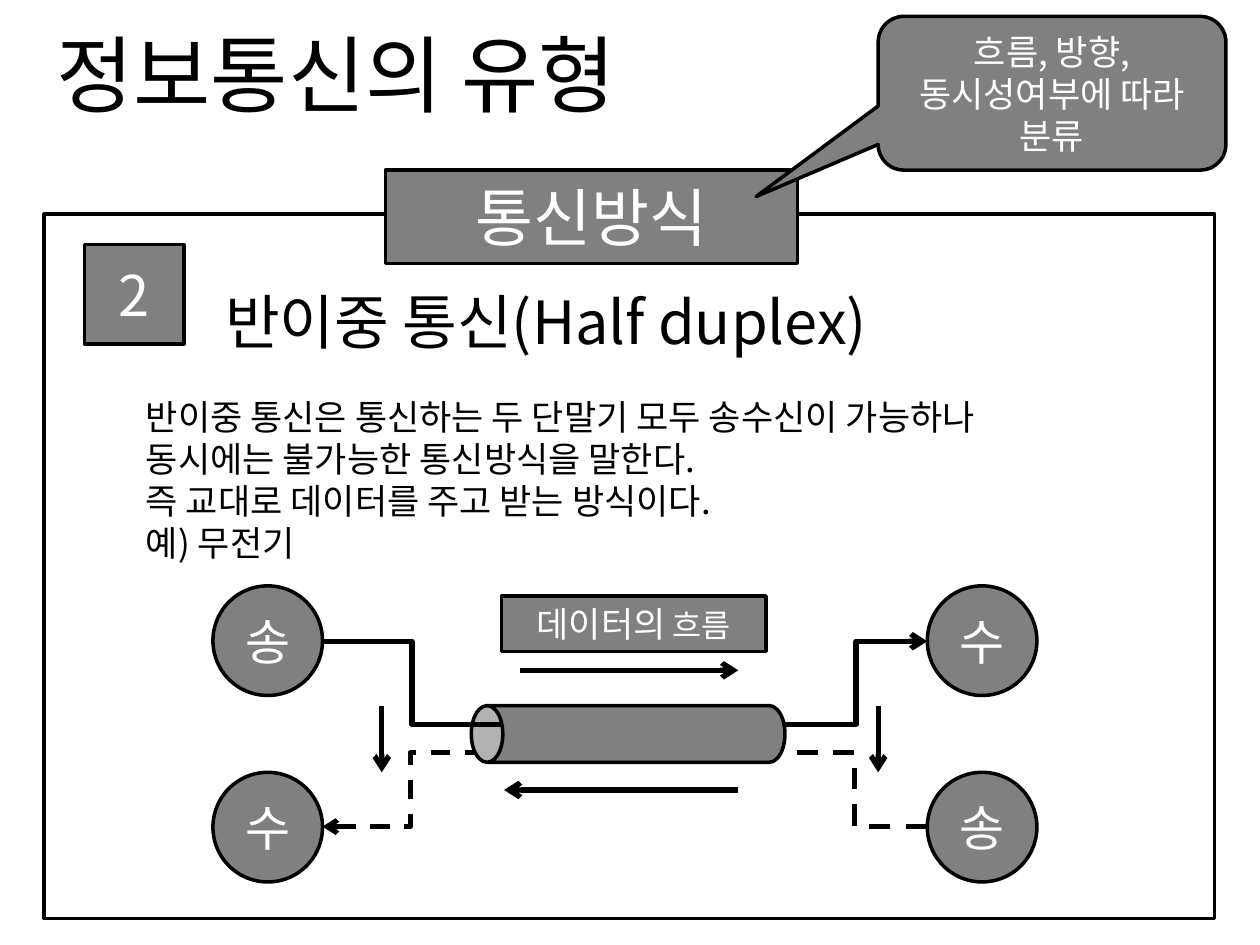
from typing import NamedTuple, Optional

from pptx import Presentation
from pptx.dml.color import RGBColor
from pptx.enum.dml import MSO_LINE
from pptx.enum.shapes import MSO_CONNECTOR, MSO_SHAPE
from pptx.enum.text import MSO_ANCHOR, MSO_AUTO_SIZE, PP_ALIGN
from pptx.oxml.ns import qn
from pptx.util import Inches, Pt
from lxml.etree import SubElement

FONT = "Noto Sans CJK KR"
BLACK, GRAY, WHITE = "000000", "808080", "FFFFFF"


class Box(NamedTuple):
    """A shape with its place in inches and its text."""
    kind: MSO_SHAPE
    at: tuple
    text: str = ""
    size: float = 20
    fill: Optional[str] = GRAY
    adj: tuple = ()
    rotation: float = 0


class Label(NamedTuple):
    """A plain text box."""
    at: tuple
    text: str
    size: float


class Wire(NamedTuple):
    """A line from start to end; bend is the elbow position along it."""
    start: tuple
    end: tuple
    bend: Optional[float] = None
    dashed: bool = False
    arrow: bool = True
    width: float = 3


def color(value: str) -> RGBColor:
    """Turn a hex string into a colour."""
    return RGBColor.from_string(value)


def format_runs(tf, size: float, text_color: str, align=PP_ALIGN.LEFT) -> None:
    """Format every run of a text frame."""
    for p in tf.paragraphs:
        p.alignment = align
        for r in p.runs:
            r.font.size = Pt(size)
            r.font.name = FONT
            r.font.color.rgb = color(text_color)
            SubElement(r.font._element, qn("a:ea")).set("typeface", FONT)


def add_box(shapes, box: Box):
    """Draw an outlined shape with centred white text."""
    sp = shapes.add_shape(box.kind, *map(Inches, box.at))
    sp.shadow.inherit = False
    sp.rotation = box.rotation
    for i, value in enumerate(box.adj):
        sp.adjustments[i] = value
    if box.fill:
        sp.fill.solid()
        sp.fill.fore_color.rgb = color(box.fill)
    else:
        sp.fill.background()
    sp.line.color.rgb = color(BLACK)
    sp.line.width = Pt(2)
    if box.text:
        tf = sp.text_frame
        tf.text = box.text
        tf.vertical_anchor = MSO_ANCHOR.MIDDLE
        format_runs(tf, box.size, WHITE, PP_ALIGN.CENTER)
    return sp


def add_label(shapes, label: Label) -> None:
    """Draw a wrapping text box in black."""
    tf = shapes.add_textbox(*map(Inches, label.at)).text_frame
    tf.word_wrap = True
    tf.auto_size = MSO_AUTO_SIZE.SHAPE_TO_FIT_TEXT
    tf.text = label.text
    format_runs(tf, label.size, BLACK)


def add_wire(shapes, wire: Wire) -> None:
    """Draw a straight or elbow connector."""
    kind = MSO_CONNECTOR.STRAIGHT if wire.bend is None else MSO_CONNECTOR.ELBOW
    line = shapes.add_connector(kind, *map(Inches, wire.start + wire.end))
    line.line.color.rgb = color(BLACK)
    line.line.width = Pt(wire.width)
    if wire.dashed:
        line.line.dash_style = MSO_LINE.DASH
    sp_pr = line._element.spPr
    if wire.arrow:
        SubElement(sp_pr.find(qn("a:ln")), qn("a:tailEnd")).set("type", "arrow")
    SubElement(sp_pr, qn("a:effectLst"))
    if wire.bend is not None:
        guides = sp_pr.find(qn("a:prstGeom")).get_or_add_avLst()
        guide = SubElement(guides, qn("a:gd"))
        guide.set("name", "adj1")
        guide.set("fmla", f"val {round(wire.bend * 100000)}")


LABELS = [
    Label((0.35, 0.13, 5.88, 0.91), "정보통신의 유형", 48),
    Label((1.69, 2.21, 5.67, 0.67), "반이중 통신(Half duplex)", 34),
    Label((1.06, 3.09, 7.56, 1.45),
          "반이중 통신은 통신하는 두 단말기 모두 송수신이 가능하나 "
          "동시에는 불가능한 통신방식을 말한다.\n"
          "즉 교대로 데이터를 주고 받는 방식이다.\n예) 무전기", 20),
]
LEFT, RIGHT, TOP, BOTTOM, DIAMETER = 1.69, 7.36, 4.65, 6.13, 0.87
TERMINALS = [
    Box(MSO_SHAPE.OVAL, (x, y, DIAMETER, DIAMETER), text, 28)
    for x, y, text in [(LEFT, TOP, "송"), (LEFT, BOTTOM, "수"),
                       (RIGHT, TOP, "수"), (RIGHT, BOTTOM, "송")]
]
WIRES = [
    Wire((6.23, 5.75), (RIGHT, 5.09), 0.5),
    Wire((3.84, 5.97), (2.56, 6.56), 0.455, dashed=True, width=2.75),
    Wire((RIGHT, 6.56), (5.86, 5.97), 0.384, dashed=True, arrow=False),
    Wire((3.03, 5.6), (3.03, 6.13)),
    Wire((4.13, 5.32), (5.86, 5.32)),
    Wire((6.97, 5.6), (6.97, 6.13)),
    Wire((5.86, 6.27), (4, 6.27)),
]
SENDING_WIRE = Wire((2.56, 5.09), (3.98, 5.75), 0.5, arrow=False)
NUMBER = Box(MSO_SHAPE.RECTANGLE, (0.67, 1.94, 0.79, 0.79), "2", 32)
FLOW = Box(MSO_SHAPE.RECTANGLE, (3.98, 4.73, 2.1, 0.44), "데이터의")
FRAME_BOXES = [
    Box(MSO_SHAPE.RECTANGLE, (0.35, 1.7, 9.29, 5.59), fill=None),
    Box(MSO_SHAPE.RECTANGLE, (3.06, 1.35, 3.27, 0.74), "통신방식", 36),
    Box(MSO_SHAPE.ROUNDED_RECTANGULAR_CALLOUT, (6.97, 0.13, 2.76, 1.22),
        "흐름, 방향,\n동시성여부에 따라\n분류", adj=(-0.851, 0.672, 0.167)),
    Box(MSO_SHAPE.CAN, (4.76, 4.58, 0.45, 2.49), adj=(0.557,), rotation=270),
]

prs = Presentation()
prs.slide_width, prs.slide_height = Inches(10), Inches(7.5)
shapes = prs.slides.add_slide(prs.slide_layouts[6]).shapes

for label in LABELS:
    add_label(shapes, label)
for box in [NUMBER, *TERMINALS]:
    add_box(shapes, box)
for wire in WIRES:
    add_wire(shapes, wire)

flow_tf = add_box(shapes, FLOW).text_frame
flow_tf.paragraphs[0].add_run().text = " 흐름"
format_runs(flow_tf, 20, WHITE, PP_ALIGN.CENTER)
flow_tf.paragraphs[0].runs[1].font.size = Pt(18)

for box in FRAME_BOXES:
    add_box(shapes, box)
add_wire(shapes, SENDING_WIRE)

prs.save("out.pptx")
